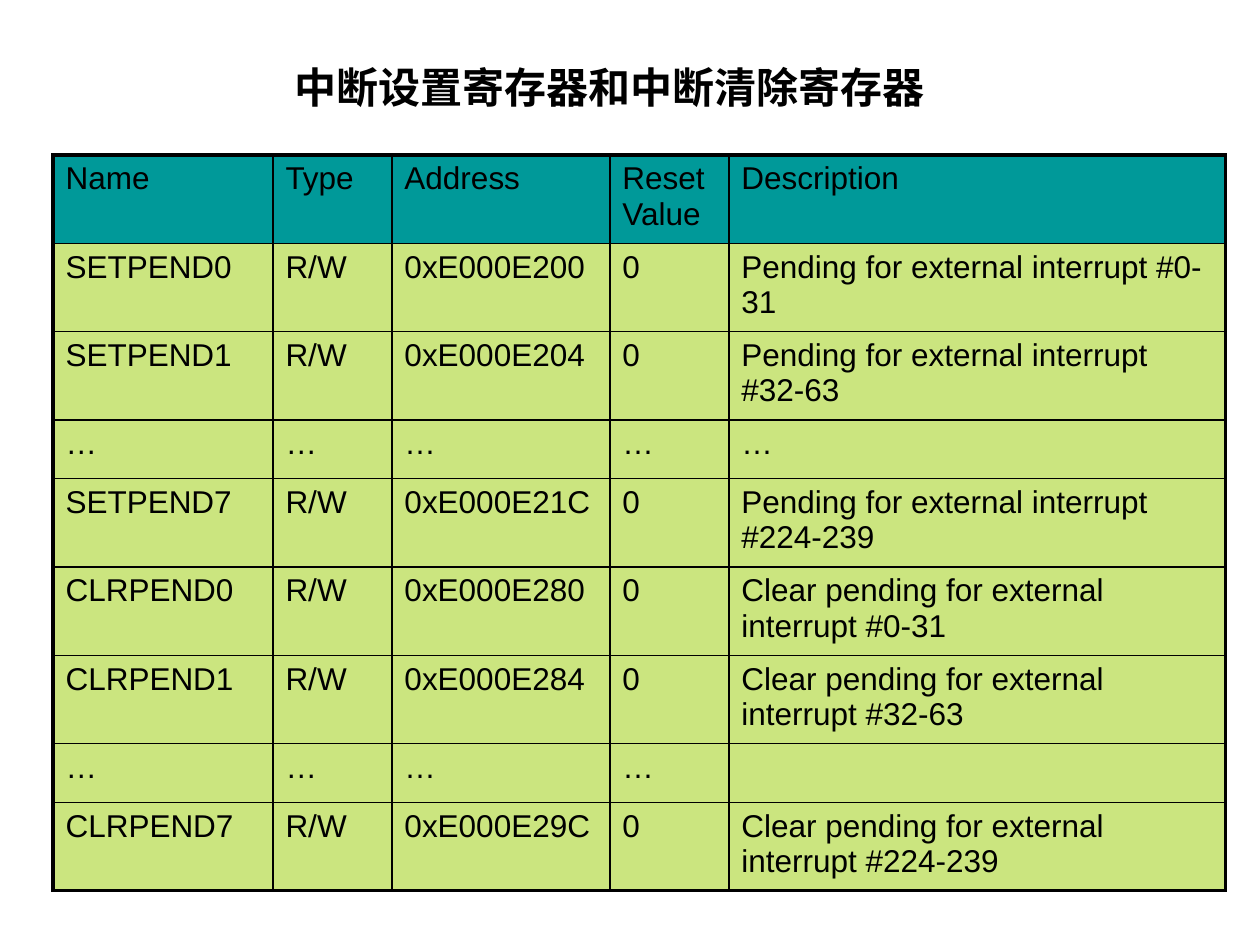
"""Build a slide with a table of interrupt pending registers."""
from lxml import etree
from pptx import Presentation, util as u
from pptx.dml.color import RGBColor
from pptx.enum import text
from pptx.oxml.ns import qn

TITLE = "中断设置寄存器和中断清除寄存器"
ROWS = [
    ("Name", "Type", "Address", "Reset Value", "Description"),
    ("SETPEND0", "R/W", "0xE000E200", "0", "Pending for external interrupt #0-31"),
    ("SETPEND1", "R/W", "0xE000E204", "0", "Pending for external interrupt #32-63"),
    ("…", "…", "…", "…", "…"),
    ("SETPEND7", "R/W", "0xE000E21C", "0", "Pending for external interrupt #224-239"),
    ("CLRPEND0", "R/W", "0xE000E280", "0", "Clear pending for external interrupt #0-31"),
    ("CLRPEND1", "R/W", "0xE000E284", "0", "Clear pending for external interrupt #32-63"),
    ("…", "…", "…", "…", ""),
    ("CLRPEND7", "R/W", "0xE000E29C", "0", "Clear pending for external interrupt #224-239"),
]
THEME = {
    "font": "Arial", "ink": "000000", "header": "009999", "body": "99CC00",
    "body_alpha": 50000, "title_size": 24, "cell_size": 18,
    "outer_line": 2.25, "inner_line": 1, "space_before": 20000,
}
TITLE_BOX = (282, 55, 694, 63)
TABLE_ORIGIN = (53, 155)
COLUMN_WIDTHS = (220, 119, 218, 119, 497)
TALL_ROW, SHORT_ROW = 88, 59


def px(length):
    return u.Inches(length / 126)


def style_runs(paragraph, size, bold=False):
    for run in paragraph.runs:
        run.font.name = THEME["font"]
        run.font.size = u.Pt(size)
        run.font.bold = bold
        run.font.color.rgb = RGBColor.from_string(THEME["ink"])


def add_child(parent, tag, **attributes):
    return etree.SubElement(parent, qn(tag), {k: str(v) for k, v in attributes.items()})


def set_borders(cell, outer_sides):
    properties = cell._tc.get_or_add_tcPr()
    for index, side in enumerate("LRTB"):
        width = THEME["outer_line" if side in outer_sides else "inner_line"]
        line = etree.Element(qn(f"a:ln{side}"), {"w": str(u.Pt(width))})
        add_child(add_child(line, "a:solidFill"), "a:srgbClr", val=THEME["ink"])
        properties.insert(index, line)


def fill_cell(cell, is_header):
    cell.fill.solid()
    cell.fill.fore_color.rgb = RGBColor.from_string(THEME["header" if is_header else "body"])
    if not is_header:
        color = cell._tc.tcPr.find(".//" + qn("a:srgbClr"))
        add_child(color, "a:alpha", val=THEME["body_alpha"])


def write_cell(cell, content):
    cell.text_frame.text = content
    paragraph = cell.text_frame.paragraphs[0]
    spacing = add_child(paragraph._p.get_or_add_pPr(), "a:spcBef")
    add_child(spacing, "a:spcPct", val=THEME["space_before"])
    style_runs(paragraph, THEME["cell_size"])


def add_title(slide):
    title = slide.shapes.title
    title.left, title.top, title.width, title.height = map(px, TITLE_BOX)
    frame = title.text_frame
    frame.text = TITLE
    frame.word_wrap = True
    frame.auto_size = text.MSO_AUTO_SIZE.SHAPE_TO_FIT_TEXT
    frame.vertical_anchor = text.MSO_ANCHOR.TOP
    frame.paragraphs[0].alignment = text.PP_ALIGN.LEFT
    style_runs(frame.paragraphs[0], THEME["title_size"], bold=True)


def add_register_table(slide):
    heights = [SHORT_ROW if row[0] == "…" else TALL_ROW for row in ROWS]
    last_row, last_column = len(ROWS) - 1, len(COLUMN_WIDTHS) - 1
    table = slide.shapes.add_table(
        len(ROWS), len(COLUMN_WIDTHS), *map(px, TABLE_ORIGIN),
        px(sum(COLUMN_WIDTHS)), px(sum(heights))).table
    table.first_row = table.horz_banding = False
    for column, width in zip(table.columns, COLUMN_WIDTHS):
        column.width = px(width)
    for r, (row, height) in enumerate(zip(ROWS, heights)):
        table.rows[r].height = px(height)
        for c, content in enumerate(row):
            cell = table.cell(r, c)
            edges = {"L": c == 0, "R": c == last_column, "T": r == 0, "B": r == last_row}
            write_cell(cell, content)
            fill_cell(cell, r == 0)
            set_borders(cell, {side for side, outer in edges.items() if outer})


presentation = Presentation()
presentation.slide_width, presentation.slide_height = px(1260), px(945)
slide = presentation.slides.add_slide(presentation.slide_layouts[5])
add_register_table(slide)
add_title(slide)
presentation.save("out.pptx")
